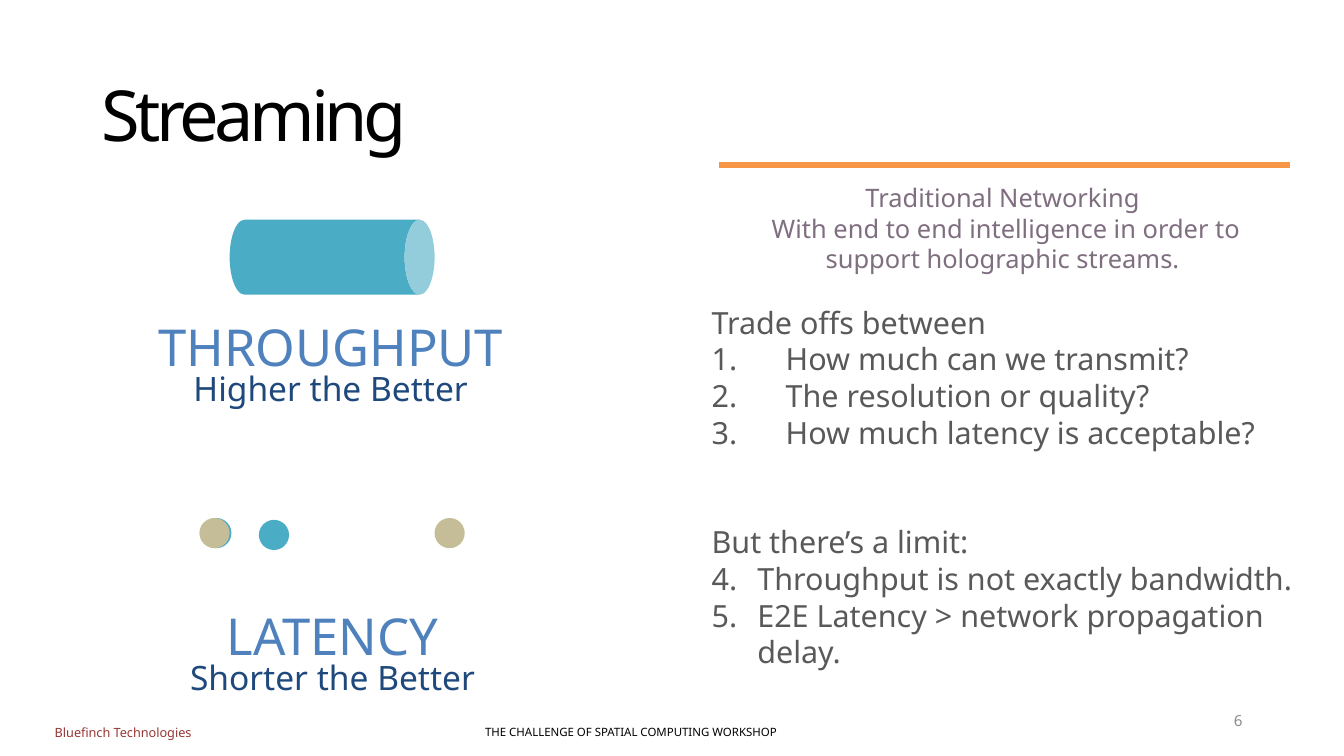
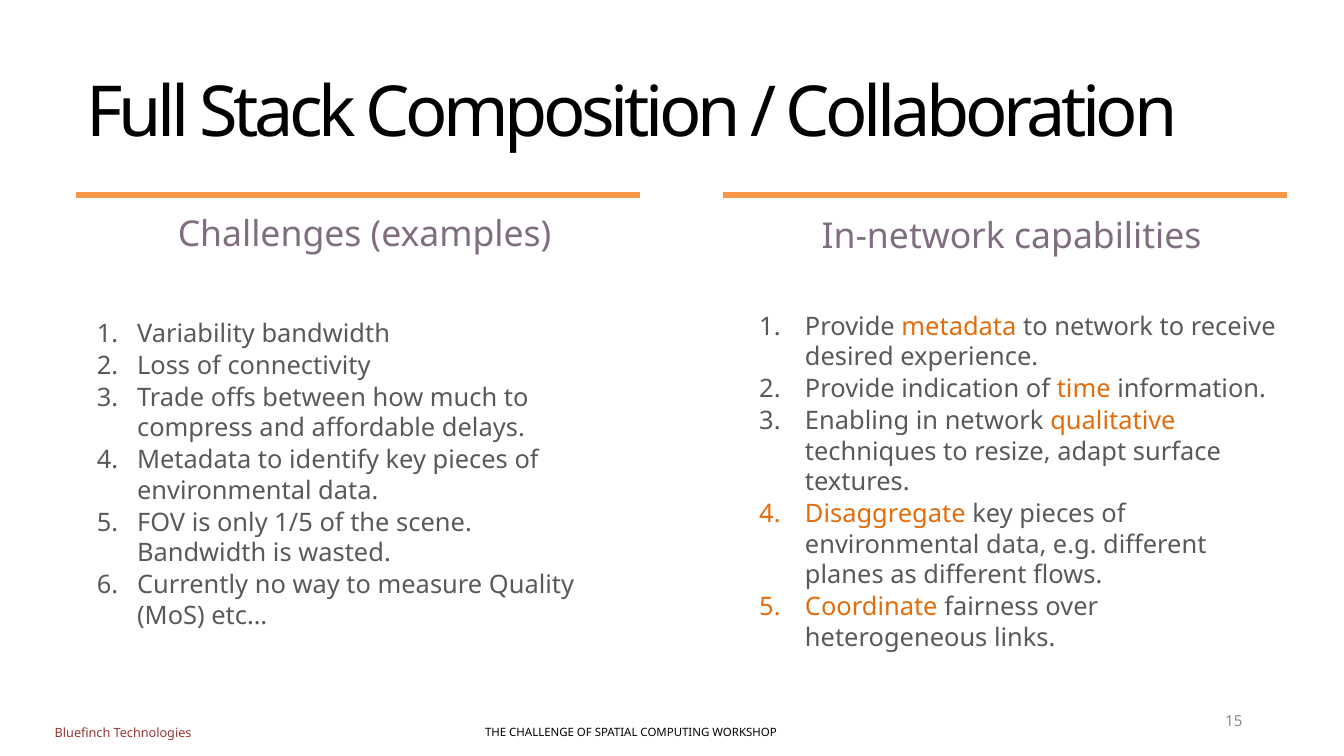
from lxml import etree
from pptx import Presentation
from pptx.dml.color import RGBColor
from pptx.enum.shapes import MSO_CONNECTOR, MSO_SHAPE
from pptx.enum.text import MSO_ANCHOR, PP_ALIGN
from pptx.oxml.ns import qn
from pptx.util import Inches, Pt

LEFT, CENTER, RIGHT = PP_ALIGN.LEFT, PP_ALIGN.CENTER, PP_ALIGN.RIGHT
TOP, MIDDLE = MSO_ANCHOR.TOP, MSO_ANCHOR.MIDDLE
DOT, PIPE = MSO_SHAPE.FLOWCHART_CONNECTOR, MSO_SHAPE.CAN
ROUNDED = MSO_SHAPE.ROUNDED_RECTANGLE
STRAIGHT = MSO_CONNECTOR.STRAIGHT

# Shared style
FONT = "Noto Sans"
BLACK, GRAY, PAGE_GRAY = "000000", "595959", "8C8C8C"
MAUVE, MAROON = "7F6E7F", "953735"
ORANGE, ACCENT = "F79646", "E46C0A"
TEAL, SAND, BLUE, NAVY = "4BACC6", "C4BD97", "4F81BD", "1F497D"
RULE_LENGTH = 6.17
COLUMN_LEFT, COLUMN_STEP = 0.83, 7.07


def rgb(value):
    return RGBColor.from_string(value)


def style(paragraph, size, color, align=LEFT):
    paragraph.alignment = align
    font = paragraph.font
    font.name, font.size = FONT, Pt(size)
    font.color.rgb = rgb(color)


def text_frame(slide, box, anchor=MIDDLE):
    frame = slide.shapes.add_textbox(*map(Inches, box)).text_frame
    frame.word_wrap = True
    frame.vertical_anchor = anchor
    return frame


def next_paragraph(frame):
    first = frame.paragraphs[0]
    return first if not first.runs else frame.add_paragraph()


def fill_lines(frame, lines, align=LEFT, spacing=None):
    """Each line is (text, size, color)."""
    for text, size, color in lines:
        paragraph = next_paragraph(frame)
        if spacing:
            paragraph.line_spacing = spacing
        paragraph.add_run().text = text
        style(paragraph, size, color, align)


def add_lines(slide, box, lines, align=LEFT, spacing=None):
    frame = text_frame(slide, box)
    fill_lines(frame, lines, align, spacing)
    return frame


def add_caption(slide, box, lines, size):
    """Centred text in a rounded frame without fill or outline."""
    caption = slide.shapes.add_shape(ROUNDED, *map(Inches, box))
    caption.shadow.inherit = False
    caption.fill.background()
    caption.line.fill.background()
    caption.text_frame.word_wrap = True
    caption.text_frame.vertical_anchor = MIDDLE
    fill_lines(caption.text_frame, [(line, size, MAUVE) for line in lines], CENTER)


def number(paragraph, left, hang, color, start=1):
    props = paragraph._p.get_or_add_pPr()
    props.set("marL", str(Inches(left)))
    props.set("indent", str(-Inches(hang)))
    tint = etree.SubElement(props, qn("a:buClr"))
    etree.SubElement(tint, qn("a:srgbClr")).set("val", color)
    numbering = etree.SubElement(props, qn("a:buAutoNum"))
    numbering.set("type", "arabicPeriod")
    if start > 1:
        numbering.set("startAt", str(start))


def add_numbered(frame, items, size, left, hang, gap=0, start=1):
    """An item is plain text, or a list of parts; *part is accented."""
    for item in items:
        parts = [item] if isinstance(item, str) else item
        paragraph = next_paragraph(frame)
        if gap and item is not items[0]:
            paragraph.space_before = Pt(gap)
        number_color = ACCENT if parts[0].startswith("*") else GRAY
        number(paragraph, left, hang, number_color, start)
        style(paragraph, size, GRAY)
        for part in parts:
            if part == "\n":
                paragraph.add_line_break()
                continue
            run = paragraph.add_run()
            run.text = part.lstrip("*")
            if part.startswith("*"):
                run.font.color.rgb = rgb(ACCENT)


def add_solid(slide, kind, box, color):
    solid = slide.shapes.add_shape(kind, *map(Inches, box))
    solid.shadow.inherit = False
    solid.fill.solid()
    solid.fill.fore_color.rgb = rgb(color)
    solid.line.fill.background()
    return solid


def add_rule(slide, left, top, length=RULE_LENGTH):
    ends = (left, top, left + length, top)
    rule = slide.shapes.add_connector(STRAIGHT, *map(Inches, ends))
    rule.line.color.rgb = rgb(ORANGE)
    rule.line.width = Pt(4.5)
    etree.SubElement(rule._element.spPr, qn("a:effectLst"))


def new_slide(deck, title, title_left, title_top, page):
    slide = deck.slides.add_slide(deck.slide_layouts[6])
    # Footers
    add_lines(slide, (4.26, 7.8, 5.27, 0.4),
              [("THE CHALLENGE OF SPATIAL COMPUTING WORKSHOP", 9, BLACK)], CENTER)
    add_lines(slide, (0.5, 7.85, 2.2, 0.3),
              [("Bluefinch Technologies", 10, MAROON)])
    add_lines(slide, (10.37, 7.65, 3.31, 0.44), [(page, 12, PAGE_GRAY)], RIGHT)
    # Title with tightened letters
    heading = add_lines(slide, (title_left, title_top, 12.67, 1.6),
                        [(title, 55.3, BLACK)])
    run = heading.paragraphs[0].runs[0]
    run._r.get_or_add_rPr().set("spc", "-350")
    return slide


def streaming(deck):
    slide = new_slide(deck, "Streaming", 1.01, 0.44, "6")

    # Throughput pipe
    pipe = add_solid(slide, PIPE, (3.22, 1.69, 0.82, 2.24), TEAL)
    pipe.adjustments[0] = 0.4
    pipe.rotation = 90

    # Latency dots
    for left, top, color in [(2.2, 5.66, TEAL), (2.83, 5.68, TEAL),
                             (2.18, 5.66, SAND), (4.75, 5.66, SAND)]:
        add_solid(slide, DOT, (left, top, 0.33, 0.33), color)

    # Measures
    for measure, goal, left, top, width in [
            ("THROUGHPUT", "Higher the Better", 0.85, 3.51, 5.53),
            ("LATENCY", "Shorter the Better", 1.58, 6.67, 4.11)]:
        add_lines(slide, (left, top, width, 1.01),
                  [(measure, 40, BLUE), (goal, 26.4, NAVY)], CENTER, 0.8)

    # Trade-offs and limits
    body = text_frame(slide, (7.68, 3.27, 6.66, 4.1), TOP)
    sections = [
        ("Trade offs between", 0, 0.81, 1,
         ["How much can we transmit?", "The resolution or quality?",
          "How much latency is acceptable?"]),
        ("But there’s a limit:", 57.6, 0.5, 4,
         ["Throughput is not exactly bandwidth.",
          "E2E Latency > network propagation delay."]),
    ]
    for lead, gap, indent, start, points in sections:
        paragraph = next_paragraph(body)
        if gap:
            paragraph.space_before = Pt(gap)
        paragraph.add_run().text = lead
        style(paragraph, 24, GRAY)
        add_numbered(body, points, 24, indent, indent, start=start)

    # Networking caption
    add_rule(slide, 7.86, 1.8, 6.24)
    add_caption(slide, (7.91, 1.77, 6.17, 1.44), [
        "Traditional Networking ",
        "With end to end intelligence in order to support holographic streams. ",
    ], 20)


def collaboration(deck):
    slide = new_slide(deck, "Full Stack Composition / Collaboration",
                      0.85, 0.38, "15")

    # Capabilities
    capabilities = text_frame(slide, (7.76, 2.87, 6.31, 4.76))
    add_numbered(capabilities, [
        ["Provide ", "*metadata", " to network to receive desired experience."],
        ["Provide indication of ", "*time", " information."],
        ["Enabling in network ", "*qualitative",
         " techniques to resize, adapt surface textures."],
        ["*Disaggregate", " key pieces of environmental data, "
         "e.g. different planes as different flows."],
        ["*Coordinate", " fairness over heterogeneous links."],
    ], 20, 0.94, 0.5, gap=1.2)

    # Challenges
    challenges = text_frame(slide, (0.83, 2.96, 6, 4.42))
    add_numbered(challenges, [
        "Variability bandwidth",
        "Loss of connectivity",
        "Trade offs between how much to compress and affordable delays.",
        "Metadata to identify key pieces of environmental data.",
        ["FOV is only 1/5 of the scene. ", "\n", "Bandwidth is wasted."],
        "Currently no way to measure Quality (MoS) etc…",
    ], 20, 0.57, 0.44, gap=1.2)

    # Column headings
    for column, (heading, top, height) in enumerate([
            ("Challenges (examples)", 2.28, 0.51),
            ("In-network capabilities", 2.13, 0.85)]):
        left = COLUMN_LEFT + column * COLUMN_STEP
        add_caption(slide, (left + 0.07, top, RULE_LENGTH, height), [heading], 28)
        add_rule(slide, left, 2.13)


def main():
    deck = Presentation()
    deck.slide_width, deck.slide_height = Inches(14.69), Inches(8.26)
    streaming(deck)
    collaboration(deck)
    deck.save("out.pptx")


if __name__ == "__main__":
    main()
